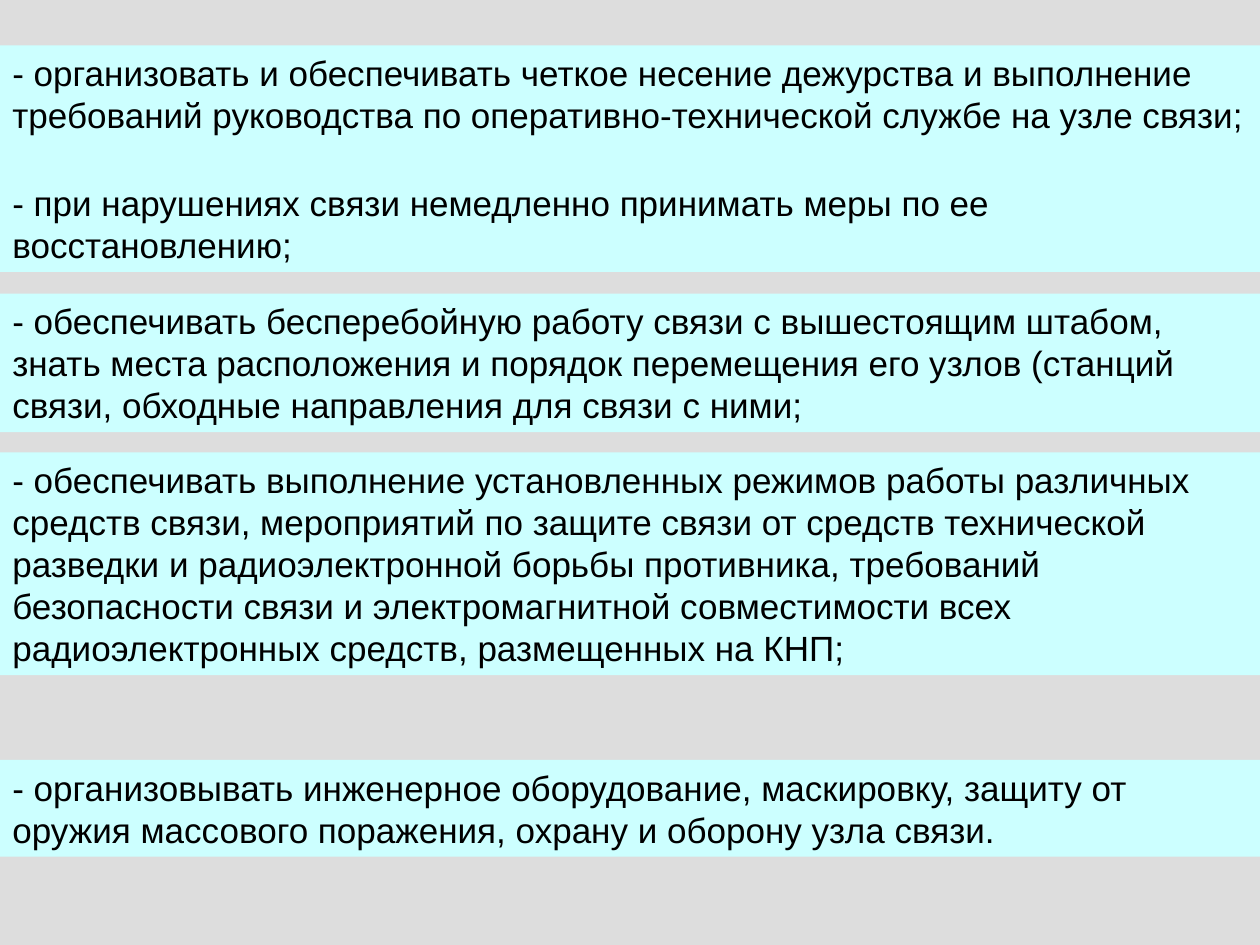
"""Build a slide of duties for the signal centre, one band per duty."""
from pptx import Presentation
from pptx.dml.color import RGBColor as Rgb
from pptx.enum.shapes import MSO_SHAPE as Kind
from pptx.enum.text import MSO_ANCHOR as Anchor, MSO_AUTO_SIZE as Fit, PP_ALIGN as Align
from pptx.util import Pt

WIDE, HIGH = 720, 540
HUES = {"back": "DDDDDD", "band": "CCFFFF", "ink": "000000"}
DUTIES = [
    (25.9, 79.2, "- организовать и обеспечивать четкое несение дежурства и выполнение "
     "требований руководства по оперативно-технической службе на узле связи;"),
    (100.1, 55.4, "- при нарушениях связи немедленно принимать меры по ее восстановлению;"),
    (167.8, 79.2, "- обеспечивать бесперебойную работу связи с вышестоящим штабом, "
     "знать места расположения и порядок перемещения его узлов (станций связи, "
     "обходные направления для связи с ними;"),
    (258.5, 127.4, "- обеспечивать выполнение установленных режимов работы различных "
     "средств связи, мероприятий по защите связи от средств технической разведки "
     "и радиоэлектронной борьбы противника, требований безопасности связи "
     "и электромагнитной совместимости всех радиоэлектронных средств, "
     "размещенных на КНП;"),
    (434.2, 55.4, "- организовывать инженерное оборудование, маскировку, защиту от оружия "
     "массового поражения, охрану и оборону узла связи."),
]


def paint(fill, hue):
    fill.solid()
    fill.fore_color.rgb = Rgb.from_string(HUES[hue])


def write(frame, text, size=20, face="Arial", hue="ink", align=Align.LEFT):
    frame.word_wrap = True
    frame.auto_size = Fit.NONE
    frame.vertical_anchor = Anchor.TOP
    frame.margin_left = frame.margin_right = Pt(7.2)
    frame.margin_top = frame.margin_bottom = Pt(3.6)
    para = frame.paragraphs[0]
    para.text = text
    para.alignment = align
    para.font.size = Pt(size)
    para.font.name = face
    para.font.color.rgb = Rgb.from_string(HUES[hue])


def main():
    deck = Presentation()
    deck.slide_width, deck.slide_height = Pt(WIDE), Pt(HIGH)
    slide = deck.slides.add_slide(deck.slide_layouts[6])
    paint(slide.background.fill, "back")
    for top, tall, text in DUTIES:
        band = slide.shapes.add_shape(Kind.RECTANGLE, Pt(0), Pt(top), Pt(WIDE), Pt(tall))
        band.shadow.inherit = False
        band.line.fill.background()
        paint(band.fill, "band")
        write(band.text_frame, text)
    deck.save("out.pptx")


if __name__ == "__main__":
    main()
